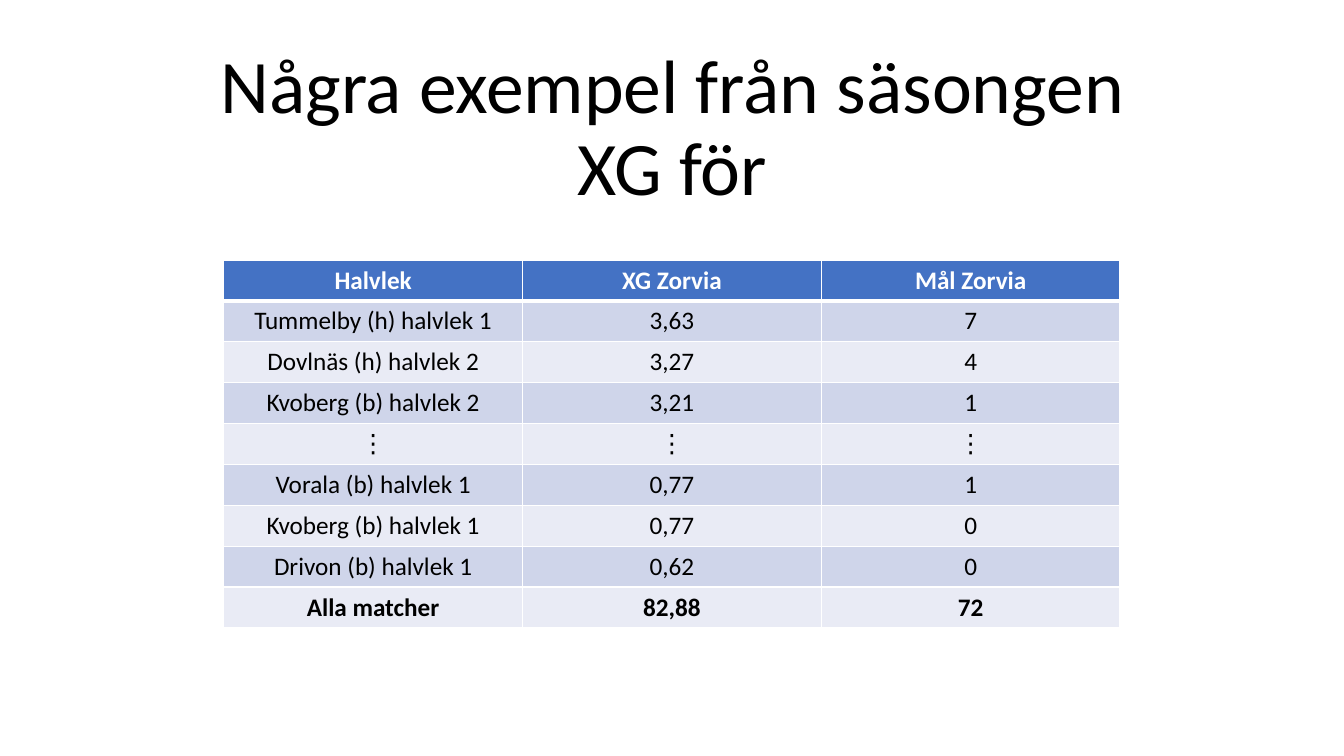
import pptx
import pptx.util
import pptx.dml.color
import pptx.enum.text
import pptx.oxml
import pptx.oxml.ns
from pptx.util import Inches

COLORS = {
    "black": "000000",
    "white": "FFFFFF",
    "head": "4472C4",
    "dark": "CFD5EA",
    "light": "E9EBF5",
}
ROWS = [
    ("Halvlek", "XG Zorvia", "Mål Zorvia"),
    ("Tummelby (h) halvlek 1", "3,63", "7"),
    ("Dovlnäs (h) halvlek 2", "3,27", "4"),
    ("Kvoberg (b) halvlek 2", "3,21", "1"),
    ("⋮", "⋮", "⋮"),
    ("Vorala (b) halvlek 1", "0,77", "1"),
    ("Kvoberg (b) halvlek 1", "0,77", "0"),
    ("Drivon (b) halvlek 1", "0,62", "0"),
    ("Alla matcher", "82,88", "72"),
]


def rgb(name):
    return pptx.dml.color.RGBColor.from_string(COLORS[name])


def write(frame, text, size=18, color="black", bold=False, spacing=1.0):
    """Fill a text frame with one centred paragraph."""
    para = frame.paragraphs[0]
    para.text = text
    para.alignment = pptx.enum.text.PP_ALIGN.CENTER
    para.line_spacing = spacing
    for run in para.runs:
        font = run.font
        font.name = "Calibri"
        font.size = pptx.util.Pt(size)
        font.bold = bold
        font.color.rgb = rgb(color)


def add_edge(cell, side, width):
    """Draw a white border on side L, R, T or B."""
    line = pptx.oxml.parse_xml(
        f'<a:ln{side} {pptx.oxml.ns.nsdecls("a")} w="{pptx.util.Pt(width)}">'
        f'<a:solidFill><a:srgbClr val="{COLORS["white"]}"/></a:solidFill>'
        f'</a:ln{side}>'
    )
    cell._tc.get_or_add_tcPr().append(line)


def set_title(slide, text):
    title = slide.shapes.title
    title.left, title.top = Inches(1.67), Inches(0.39)
    title.width, title.height = Inches(10), Inches(1.76)
    frame = title.text_frame
    frame.auto_size = pptx.enum.text.MSO_AUTO_SIZE.NONE
    frame.vertical_anchor = pptx.enum.text.MSO_ANCHOR.BOTTOM
    write(frame, text, size=54, spacing=0.9)


def add_grid(slide, rows):
    table = slide.shapes.add_table(
        len(rows), len(rows[0]),
        Inches(2.22), Inches(2.58), Inches(8.89), Inches(3.65),
    ).table
    last = len(rows) - 1
    for i, row in enumerate(rows):
        head = i == 0
        fill = "head" if head else "dark" if i % 2 else "light"
        for j, text in enumerate(row):
            cell = table.cell(i, j)
            for side in "LRTB":
                thick = (head and side == "B") or (i == 1 and side == "T")
                add_edge(cell, side, 3 if thick else 1)
            cell.fill.solid()
            cell.fill.fore_color.rgb = rgb(fill)
            write(cell.text_frame, text, color="white" if head else "black",
                  bold=i in (0, last))


def main():
    deck = pptx.Presentation()
    deck.slide_width, deck.slide_height = Inches(13.33), Inches(7.5)
    slide = deck.slides.add_slide(deck.slide_layouts[5])
    set_title(slide, "Några exempel från säsongen\vXG för")
    add_grid(slide, ROWS)
    deck.save("out.pptx")


if __name__ == "__main__":
    main()
